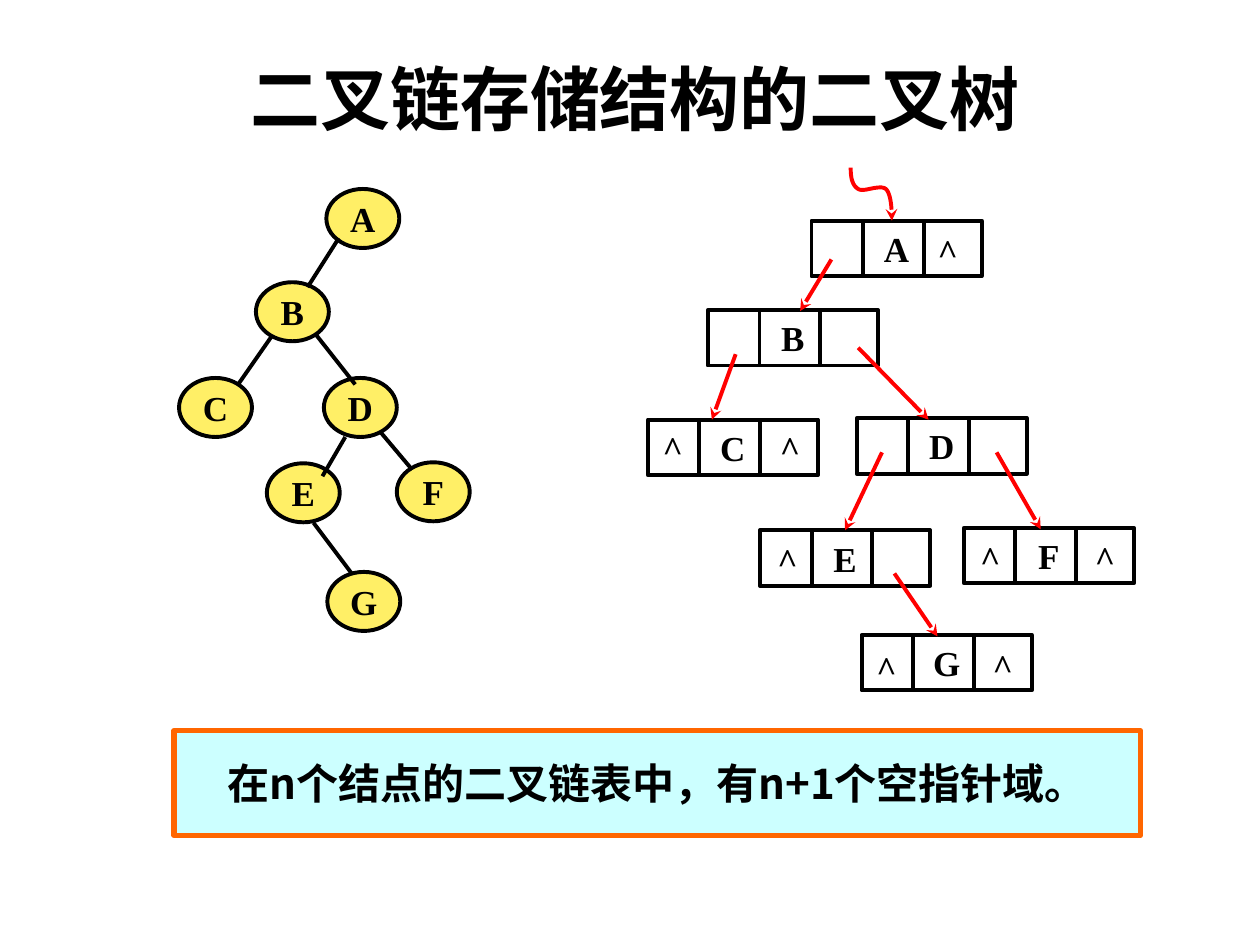
"""Build a slide that shows a binary tree beside its linked storage."""
from lxml.etree import SubElement
from pptx import Presentation
from pptx.dml.color import RGBColor
from pptx.enum.shapes import MSO_CONNECTOR, MSO_SHAPE
from pptx.enum.text import MSO_ANCHOR as Anchor, PP_ALIGN as Align
from pptx.oxml.ns import qn
from pptx.util import Cm, Pt

TITLE = "二叉链存储结构的二叉树"
CAPTION = "在n个结点的二叉链表中，有n+1个空指针域。"
CJK = "Noto Sans CJK SC"
BLACK, RED, YELLOW, CYAN, ORANGE = "000000", "FF0000", "FFEF66", "CCFFFF", "FF6600"

TITLE_AREA = (1.9, 0.71, 21.8, 2.11)
CAPTION_AREA = (3.51, 14.73, 19.48, 2.11)
NODE_SIZE = (1.47, 1.19)
RECORD_SIZE = (3.43, 1.12)
DIVIDERS = (1.04, 2.26)
NIL_SIZE = (0.91, 1.12)

NODES = {
    "A": (6.58, 3.81), "B": (5.16, 5.69), "C": (3.61, 7.62), "D": (6.53, 7.62),
    "E": (5.38, 9.34), "F": (8, 9.32), "G": (6.6, 11.53),
}
EDGES = [
    (6.83, 4.8, 6.2, 5.79), (5.49, 6.76, 4.8, 7.75), (6.38, 6.76, 7.16, 7.75),
    (6.96, 8.81, 6.5, 9.6), (7.67, 8.71, 8.31, 9.47), (6.32, 10.54, 7.09, 11.56),
]
RECORDS = {
    "A": (16.36, 4.45), "B": (14.27, 6.25), "C": (13.06, 8.46), "D": (17.27, 8.43),
    "E": (15.32, 10.69), "F": (19.43, 10.64), "G": (17.37, 12.8),
}
NILS = {
    "A": [(2.29, 0.05)],
    "C": [(0.05, 0), (2.41, 0)],
    "E": [(0.1, 0.03)],
    "F": [(0.08, 0.03), (2.39, 0.03)],
    "G": [(0.05, 0.1), (2.39, 0.05)],
}
POINTERS = {
    "B": (16.76, 5.23, 16.13, 6.27), "C": (14.83, 7.14, 14.35, 8.46),
    "D": (17.3, 7.01, 18.72, 8.46), "E": (17.78, 9.12, 17.04, 10.69),
    "F": (20.09, 9.12, 20.98, 10.67), "G": (18.03, 11.56, 18.9, 12.83),
}
ROOT_START = (17.15, 3.38)
ROOT_CURVES = [
    ((17.15, 3.56), (17.17, 3.73), (17.3, 3.81)),
    ((17.4, 3.89), (17.73, 3.71), (17.86, 3.81)),
    ((17.96, 3.91), (17.98, 4.19), (17.98, 4.45)),
]
CURVE_STEPS = 12


def color(value):
    return RGBColor.from_string(value)


def apply(target, values):
    for name, value in values.items():
        setattr(target, name, value)


def write(box, text, size=20, font="Times New Roman", **frame_format):
    frame = box.text_frame
    apply(frame, {"word_wrap": False, "vertical_anchor": Anchor.MIDDLE, **frame_format})
    para = frame.paragraphs[0]
    para.alignment = Align.CENTER
    span = para.add_run()
    span.text = text
    apply(span.font, {"name": font, "size": Pt(size), "bold": True})
    span.font.color.rgb = color(BLACK)
    SubElement(span.font._element, qn("a:ea"), typeface=CJK)


def stroke(item, line_color=BLACK, width=2.25, arrow=False):
    item.line.color.rgb = color(line_color)
    item.line.width = Pt(width)
    if arrow:
        SubElement(item.line._get_or_add_ln(), qn("a:tailEnd"), type="stealth")


def add_box(page, kind, area, fill=None, **line_format):
    box = page.shapes.add_shape(kind, *map(Cm, area))
    box.shadow.inherit = False
    if fill:
        box.fill.solid()
        box.fill.fore_color.rgb = color(fill)
    else:
        box.fill.background()
    stroke(box, **line_format)
    return box


def add_text(page, area, text, **text_format):
    write(page.shapes.add_textbox(*map(Cm, area)), text, **text_format)


def add_line(page, ends, **line_format):
    link = page.shapes.add_connector(MSO_CONNECTOR.STRAIGHT, *map(Cm, ends))
    stroke(link, **line_format)
    SubElement(link._element.spPr, qn("a:effectLst"))
    return link


def add_tree(page):
    for name, corner in NODES.items():
        write(add_box(page, MSO_SHAPE.OVAL, corner + NODE_SIZE, YELLOW), name)
    for ends in EDGES:
        add_line(page, ends)


def add_records(page):
    boxes = {}
    for name, (left, top) in RECORDS.items():
        boxes[name] = add_box(page, MSO_SHAPE.RECTANGLE, (left, top) + RECORD_SIZE)
        write(boxes[name], name)
        for offset in DIVIDERS:
            add_line(page, (left + offset, top, left + offset, top + RECORD_SIZE[1]))
    for name, ends in POINTERS.items():
        link = add_line(page, ends, line_color=RED, arrow=True)
        if name == "E":
            link.end_connect(boxes[name], 0)
    for name, offsets in NILS.items():
        left, top = RECORDS[name]
        for across, down in offsets:
            add_text(page, (left + across, top + down) + NIL_SIZE, "^")


def curve_points():
    start = ROOT_START
    for first, second, end in ROOT_CURVES:
        for step in range(1, CURVE_STEPS + 1):
            t = step / CURVE_STEPS
            u = 1 - t
            yield tuple(
                Cm(u**3 * a + 3 * u * u * t * b + 3 * u * t * t * c + t**3 * d)
                for a, b, c, d in zip(start, first, second, end)
            )
        start = end


def add_root_pointer(page):
    builder = page.shapes.build_freeform(*map(Cm, ROOT_START))
    builder.add_line_segments(list(curve_points()), close=False)
    curve = builder.convert_to_shape()
    curve.shadow.inherit = False
    curve.fill.background()
    stroke(curve, RED, arrow=True)


def main():
    deck = Presentation()
    apply(deck, {"slide_width": Cm(25.4), "slide_height": Cm(19.05)})
    page = deck.slides.add_slide(deck.slide_layouts[6])
    add_text(page, TITLE_AREA, TITLE, size=40, font="Comic Neue", word_wrap=True,
             vertical_anchor=Anchor.BOTTOM, margin_top=0, margin_bottom=0)
    add_tree(page)
    add_records(page)
    caption = add_box(page, MSO_SHAPE.RECTANGLE, CAPTION_AREA, CYAN,
                      line_color=ORANGE, width=3)
    write(caption, CAPTION, size=24, font=CJK, word_wrap=True)
    add_root_pointer(page)
    deck.save("out.pptx")


if __name__ == "__main__":
    main()
